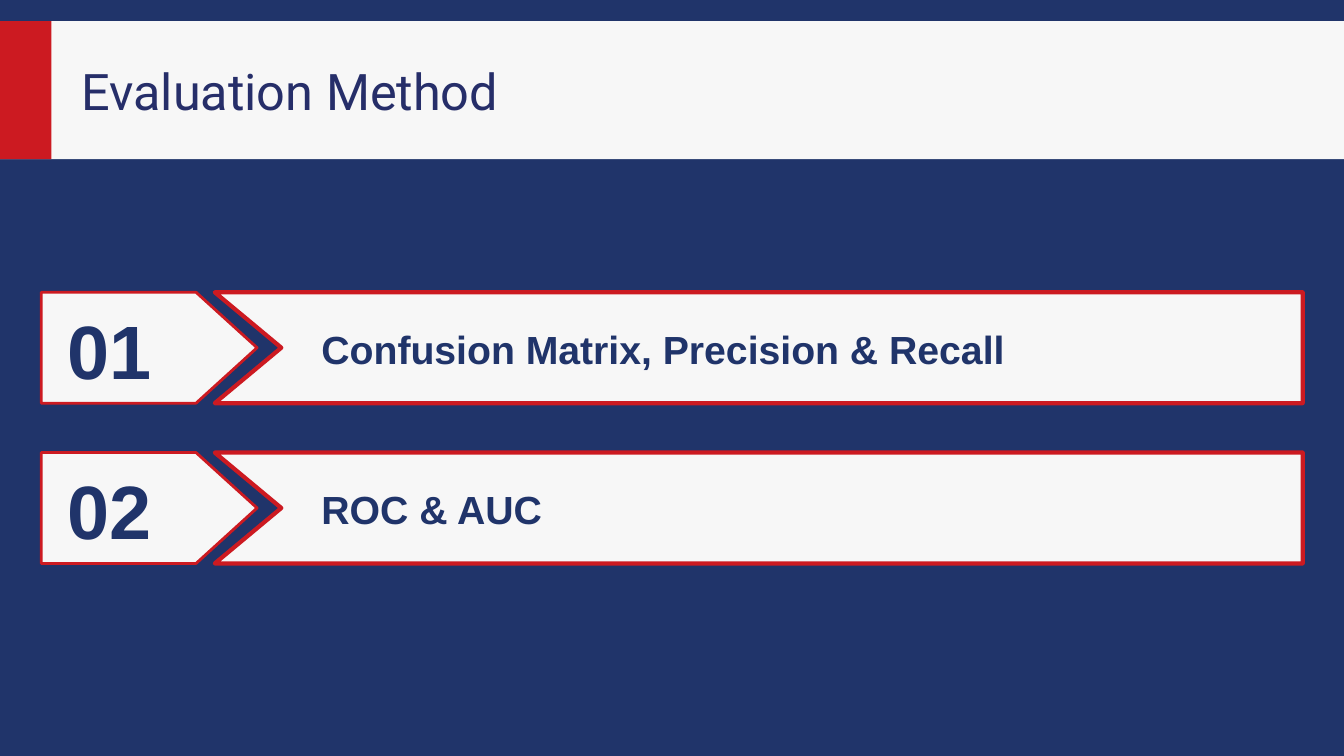
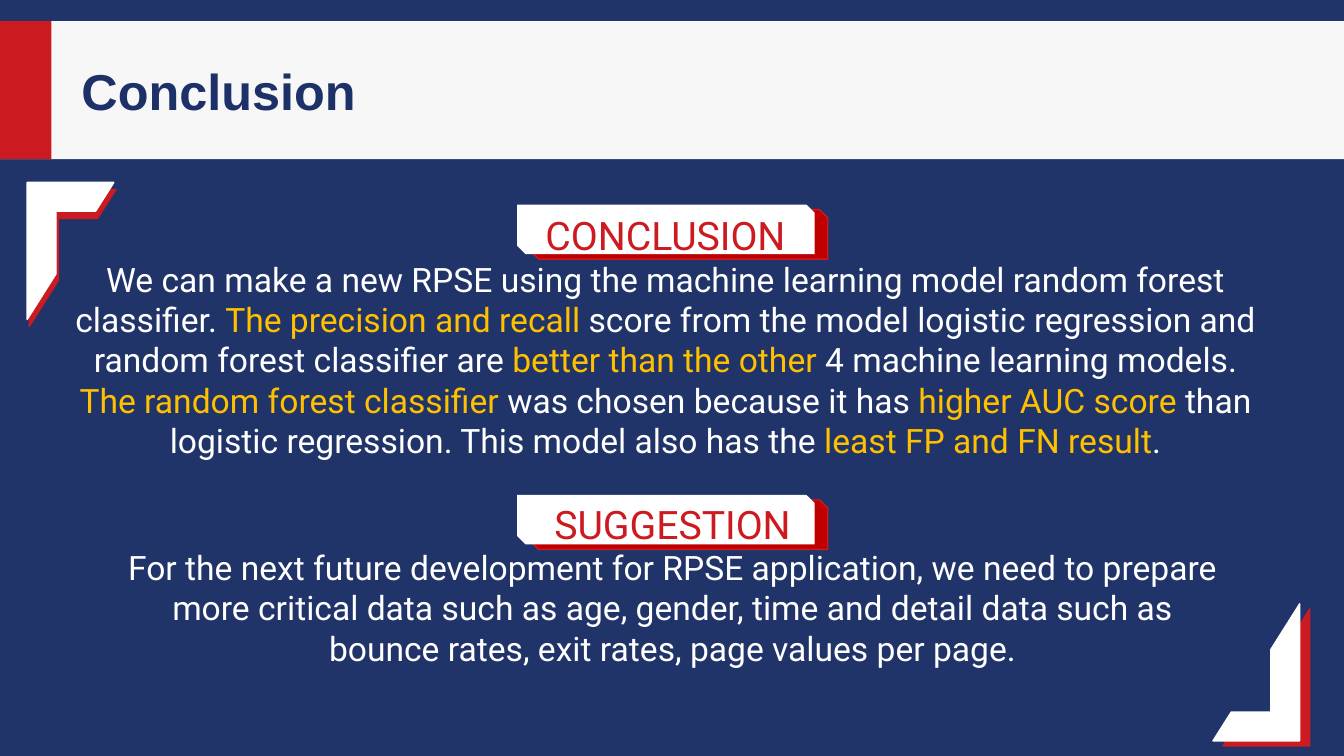
from pptx import Presentation
from pptx.dml.color import RGBColor
from pptx.enum.shapes import MSO_SHAPE as Shape
from pptx.enum.text import MSO_ANCHOR as Anchor, PP_ALIGN as Align
from pptx.util import Inches, Pt

COLORS = {
    "navy": "20346A",
    "title_blue": "262E69",
    "title_navy": "1D3168",
    "red": "CC1A21",
    "dark_red": "C00000",
    "gold": "FFC000",
    "paper": "F7F7F7",
    "white": "FFFFFF",
}
SLIDE_W, SLIDE_H = 13.33, 7.5


def rgb(name):
    return RGBColor.from_string(COLORS[name])


class Deck:
    def __init__(self):
        self.prs = Presentation()
        self.prs.slide_width = Inches(SLIDE_W)
        self.prs.slide_height = Inches(SLIDE_H)
        self.s = None

    def slide(self):
        self.s = self.prs.slides.add_slide(self.prs.slide_layouts[6])
        fill = self.s.background.fill
        fill.solid()
        fill.fore_color.rgb = rgb("navy")

    def paint(self, sp, fill, line=None, width=1):
        sp.shadow.inherit = False
        sp.fill.solid()
        sp.fill.fore_color.rgb = rgb(fill)
        if line:
            sp.line.color.rgb = rgb(line)
            sp.line.width = Pt(width)
        else:
            sp.line.fill.background()

    def shape(self, kind, box, fill, line=None, width=1):
        sp = self.s.shapes.add_shape(kind, *map(Inches, box))
        self.paint(sp, fill, line, width)
        return sp

    def polygon(self, points, fill, line, width):
        start, *rest = [(Inches(x), Inches(y)) for x, y in points]
        builder = self.s.shapes.build_freeform(*start)
        builder.add_line_segments(rest, close=True)
        self.paint(builder.convert_to_shape(), fill, line, width)

    def text(self, box, paragraphs, font, bold=False,
             align=Align.LEFT, anchor=Anchor.TOP):
        """Write (text, size, color) paragraphs; *stars* enclose gold words."""
        tf = self.s.shapes.add_textbox(*map(Inches, box)).text_frame
        tf.word_wrap = True
        tf.vertical_anchor = anchor
        for i, (text, size, color) in enumerate(paragraphs):
            p = tf.add_paragraph() if i else tf.paragraphs[0]
            p.alignment = align
            for j, part in enumerate(text.split("*")):
                if not part:
                    continue
                r = p.add_run()
                r.text = part
                r.font.name = font
                r.font.size = Pt(size)
                r.font.bold = bold
                r.font.color.rgb = rgb("gold" if j % 2 else color)
        return tf

    def title(self, text, color, font, bold=False):
        """Title band with its red block."""
        top, height = 0.21, 1.37
        self.shape(Shape.RECTANGLE, (-0.13, top, 13.51, height), "paper")
        self.text((0.71, 0.58, 7.64, 0.63), [(text, 36, color)], font, bold,
                  anchor=Anchor.MIDDLE)
        self.shape(Shape.RECTANGLE, (-0.18, top, 0.69, height), "red")

    def agenda_row(self, top, number, label):
        height, left, right = 1.1, 2.13, 12.92
        arrow = self.shape(Shape.PENTAGON, (0.41, top, 2.14, height),
                           "paper", "red", 2)
        arrow.adjustments[0] = 0.55
        bottom = top + height
        self.polygon([(left, top), (right, top), (right, bottom),
                      (left, bottom), (left + 0.66, top + height / 2)],
                     "paper", "red", 3)
        tf = self.text((0.57, top + 0.11, 1.16, 0.91), [(number, 54, "navy")],
                       "Arial", True, anchor=Anchor.MIDDLE)
        tf.margin_top = tf.margin_bottom = 0
        self.text((3.09, top + 0.28, 9.8, 0.57), [(label, 28, "navy")],
                  "Arial", True)

    def tag(self, top):
        """White heading plate over a red one."""
        kind, size = Shape.SNIP_2_DIAG_RECTANGLE, (2.95, 0.49)
        self.shape(kind, (5.26, top + 0.05, *size), "dark_red", "red")
        self.shape(kind, (5.13, top, *size), "white")

    def corner(self, left, top, dx, dy, rotation=0):
        """White corner bracket over a red one shifted by dx, dy."""
        for x, y, color in ((left + dx, top + dy, "red"), (left, top, "white")):
            sp = self.shape(Shape.HALF_FRAME, (x, y, 0.86, 1.36), color, color)
            sp.rotation = rotation

    def section(self, box, heading, body):
        paragraphs = [(heading, 28, "red")]
        paragraphs += [(text, 24, "white") for text in body]
        self.text(box, paragraphs, "Roboto", align=Align.CENTER)


def evaluation_slide(deck):
    deck.slide()
    deck.title("Evaluation Method", "title_blue", "Roboto")
    labels = ["Confusion Matrix, Precision & Recall", "ROC & AUC"]
    for i, label in enumerate(labels):
        deck.agenda_row(2.9 + 1.59 * i, f"{i + 1:02}", label)


def conclusion_slide(deck):
    deck.slide()
    deck.title("Conclusion", "title_navy", "Arial", True)
    deck.tag(2.03)
    deck.tag(4.91)
    deck.corner(0.27, 1.81, 0.02, 0.07)
    deck.corner(12.03, 5.99, 0.1, 0.05, 180)
    deck.section((0.41, 2.05, 12.38, 2.59), "CONCLUSION", [
        "We can make a new RPSE using the machine learning model random forest "
        "classifier. *The precision and recall *score from the model logistic "
        "regression and random forest classifier are *better than the other *"
        "4 machine learning models.",
        "*The random forest classifier *was chosen because it has *higher AUC "
        "score *than logistic regression. This model also has the *least FP "
        "and FN result*.",
    ])
    deck.section((0.48, 4.91, 12.38, 1.78), "SUGGESTION", [
        "For the next future development for RPSE application, we need to prepare",
        "more critical data such as age, gender, time and detail data such as",
        "bounce rates, exit rates, page values per page.",
    ])


def main():
    deck = Deck()
    evaluation_slide(deck)
    conclusion_slide(deck)
    deck.prs.save("out.pptx")


if __name__ == "__main__":
    main()
